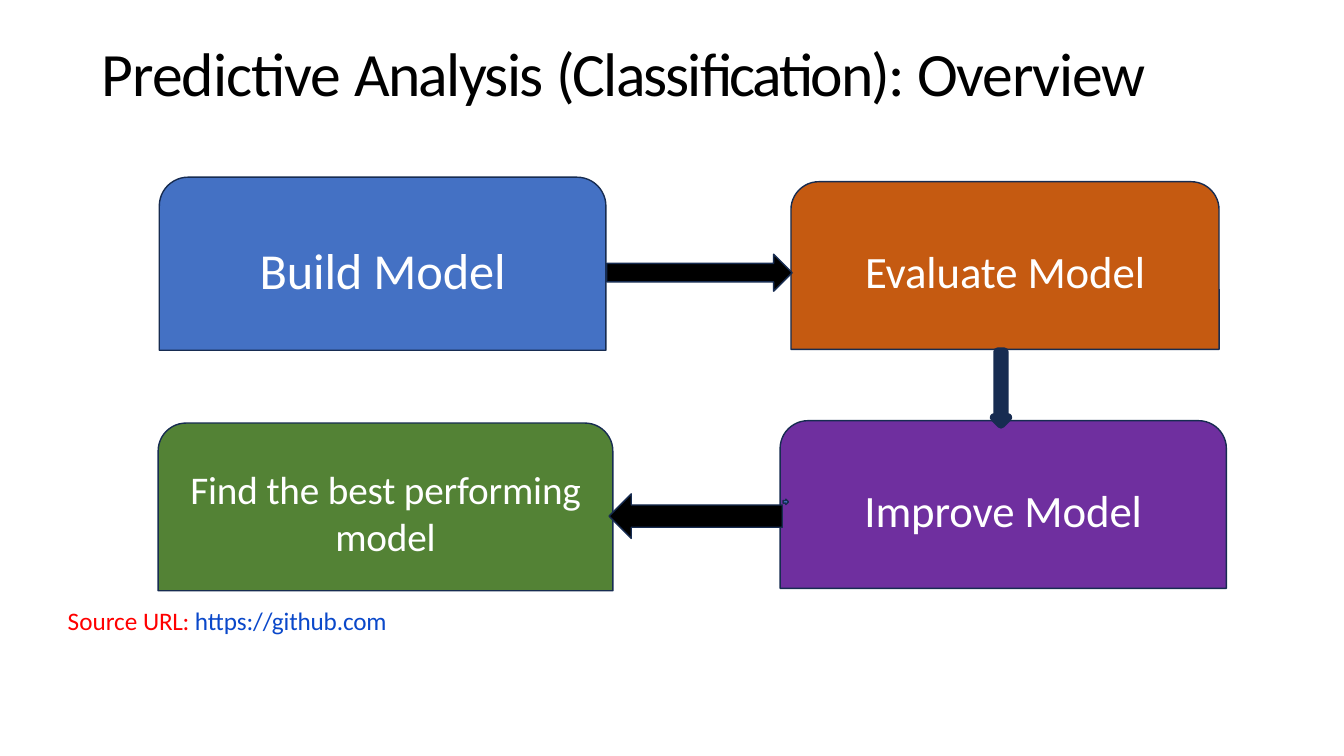
from pptx import Presentation
from pptx.dml.color import RGBColor
from pptx.enum.shapes import MSO_SHAPE
from pptx.enum.text import MSO_ANCHOR, PP_ALIGN
from pptx.oxml.ns import qn
from pptx.util import Pt
from lxml import etree

CARD = MSO_SHAPE.ROUND_2_SAME_RECTANGLE
RIGHT = MSO_SHAPE.RIGHT_ARROW
DOWN = MSO_SHAPE.DOWN_ARROW
LEFT = MSO_SHAPE.LEFT_ARROW
TOP, MIDDLE = MSO_ANCHOR.TOP, MSO_ANCHOR.MIDDLE
START, CENTER = PP_ALIGN.LEFT, PP_ALIGN.CENTER

BLACK = RGBColor(0x00, 0x00, 0x00)
WHITE = RGBColor(0xFF, 0xFF, 0xFF)
NAVY = RGBColor(0x17, 0x2C, 0x51)
BLUE = RGBColor(0x44, 0x71, 0xC4)
ORANGE = RGBColor(0xC5, 0x5A, 0x11)
PURPLE = RGBColor(0x6F, 0x2F, 0x9F)
GREEN = RGBColor(0x53, 0x82, 0x35)
RED = RGBColor(0xFF, 0x00, 0x00)
LINK = RGBColor(0x0A, 0x48, 0xCA)


class Flow:
    """Draws the parts of a flow chart on one slide."""

    font = "Calibri"

    def __init__(self, slide):
        self.slide = slide

    def label(self, frame, runs, size, color, align, anchor):
        """Fill a frame with runs of (text, letter spacing, own color)."""
        frame.word_wrap = True
        frame.vertical_anchor = anchor
        frame.margin_left = frame.margin_right = frame.margin_bottom = 0
        frame.margin_top = Pt(2)
        para = frame.paragraphs[0]
        para.alignment = align
        para.font.name = self.font
        para.font.size = Pt(size)
        para.font.color.rgb = color
        for text, gap, own in runs:
            run = para.add_run()
            run.text = text
            run._r.get_or_add_rPr().set("spc", str(round(gap * 100)))
            if own is not None:
                run.font.color.rgb = own

    def text(self, area, runs, size, color):
        box = self.slide.shapes.add_textbox(*map(Pt, area))
        self.label(box.text_frame, runs, size, color, START, TOP)

    def shape(self, kind, area, fill, line=1):
        item = self.slide.shapes.add_shape(kind, *map(Pt, area))
        item.shadow.inherit = False
        item.fill.solid()
        item.fill.fore_color.rgb = fill
        item.line.color.rgb = NAVY
        item.line.width = Pt(line)
        # Round corners on the outline
        etree.SubElement(item._element.spPr.find(qn("a:ln")), qn("a:round"))
        return item

    def card(self, area, fill, text, size):
        item = self.shape(CARD, area, fill)
        runs = [(text, -0.1, None)]
        self.label(item.text_frame, runs, size, WHITE, CENTER, MIDDLE)


def main():
    deck = Presentation()
    deck.slide_width, deck.slide_height = Pt(960), Pt(540)
    flow = Flow(deck.slides.add_slide(deck.slide_layouts[6]))

    # Title
    flow.text((72.6, 23, 828, 55), [
        ("Predictive ", -0.7, None),
        ("Analysis ", -1.2, None),
        ("(Classification): ", -1.4, None),
        ("Overview", -0.9, None),
    ], 44, BLACK)

    # Steps
    flow.card((113.8, 126.6, 319, 123.6), BLUE, "Build Model", 36)
    flow.card((565, 129.8, 305.8, 119.8), ORANGE, "Evaluate Model", 32)
    flow.card((113, 302.2, 324.8, 119.8), GREEN,
              "Find the best performing model", 28)
    flow.card((557.2, 300.5, 318.8, 119.8), PURPLE, "Improve Model", 32)

    # Repository line
    flow.text((48.4, 430.6, 857, 23), [
        ("Source ", 0, None),
        ("URL: ", -0.2, None),
        ("https://github.com", -0.1, LINK),
    ], 18, RED)

    # Arrows between the steps
    flow.shape(RIGHT, (433.4, 181.6, 132.4, 26.4), BLACK)
    flow.shape(DOWN, (710, 251.2, 10, 52), BLUE, 6)
    flow.shape(RIGHT, (559.4, 356.6, 3.8, 3.8), BLUE)
    flow.shape(LEFT, (435, 352.8, 123.8, 31.8), BLACK)

    deck.save("out.pptx")


if __name__ == "__main__":
    main()
